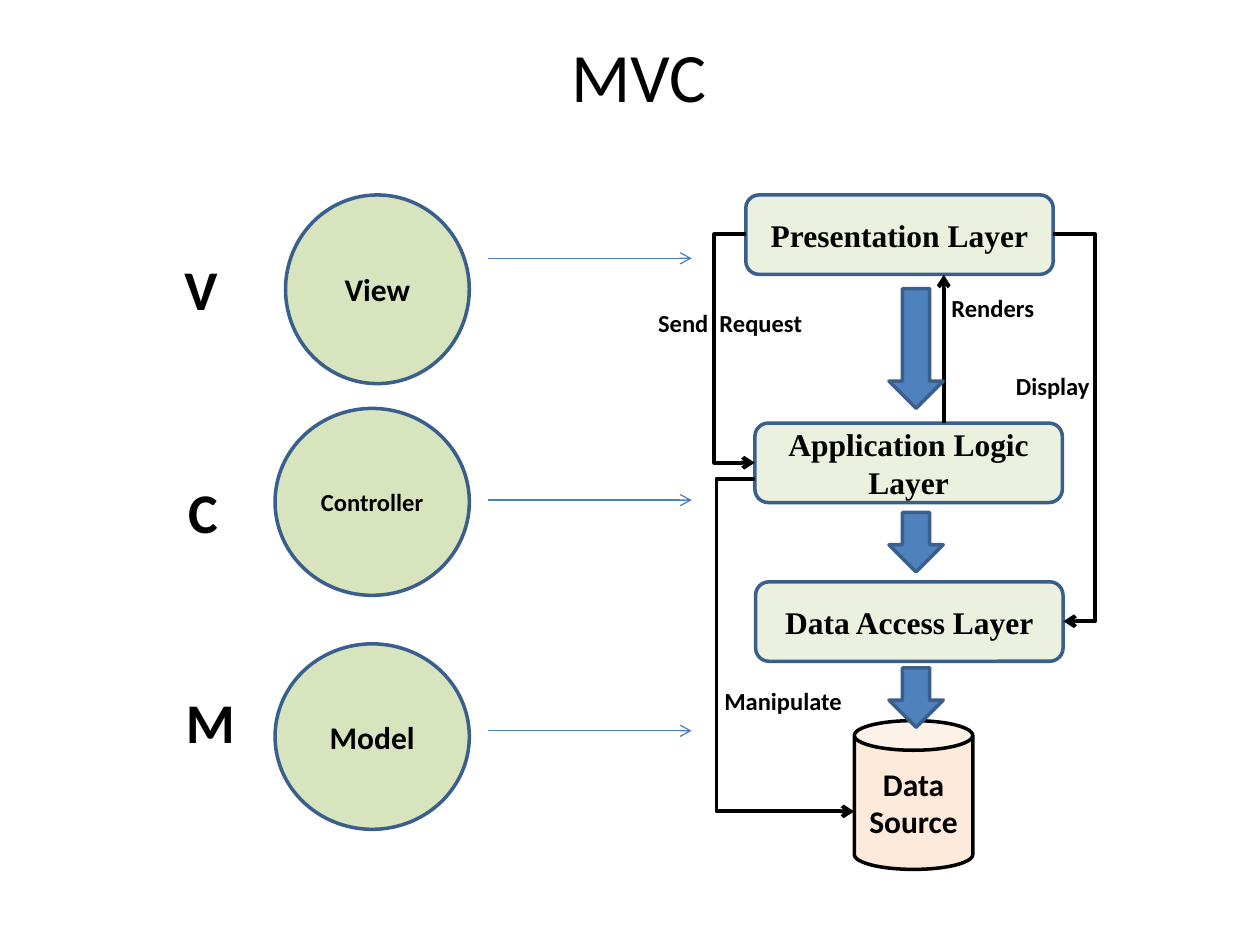
from dataclasses import dataclass
from typing import Optional

from lxml.etree import SubElement
from pptx import Presentation
from pptx.dml.color import RGBColor
from pptx.enum.shapes import MSO_CONNECTOR as Conn, MSO_SHAPE as Geo
from pptx.enum.text import MSO_ANCHOR as Anchor, PP_ALIGN as Align
from pptx.oxml.ns import qn
from pptx.util import Pt

COLORS = {
    "black": "000000",
    "white": "FFFFFF",
    "outline": "3A5F8C",
    "layer": "EBF1DE",
    "role": "D7E4BD",
    "source": "FDEADA",
    "arrow": "4F81BD",
    "link": "4B7EBC",
}


@dataclass
class Box:
    left: float
    top: float
    width: float
    height: float
    text: str = ""
    size: float = 18
    font: str = "Calibri"


@dataclass
class Link:
    x1: float
    y1: float
    x2: float
    y2: float
    color: str = "black"
    weight: float = 2.25
    via_x: Optional[float] = None  # x of the vertical run of an elbow


def rgb(name: str) -> RGBColor:
    return RGBColor.from_string(COLORS[name])


def write_text(sp, box: Box, bold: bool = True) -> None:
    tf = sp.text_frame
    tf.word_wrap = True
    tf.margin_left = tf.margin_right = 0
    tf.vertical_anchor = Anchor.MIDDLE
    tf.text = box.text
    for p in tf.paragraphs:
        p.alignment = Align.CENTER
        p.font.name = box.font
        p.font.size = Pt(box.size)
        p.font.bold = bold
        p.font.color.rgb = rgb("black")


def draw_box(s, box: Box, geo: Geo, fill: str, line: str) -> None:
    sp = s.shapes.add_shape(
        geo, Pt(box.left), Pt(box.top), Pt(box.width), Pt(box.height))
    sp.shadow.inherit = False
    sp.fill.solid()
    sp.fill.fore_color.rgb = rgb(fill)
    sp.line.color.rgb = rgb(line)
    sp.line.width = Pt(2)
    if box.text:
        write_text(sp, box)


def draw_link(s, link: Link) -> None:
    kind = Conn.STRAIGHT if link.via_x is None else Conn.ELBOW
    cx = s.shapes.add_connector(
        kind, Pt(link.x1), Pt(link.y1), Pt(link.x2), Pt(link.y2))
    cx.line.color.rgb = rgb(link.color)
    cx.line.width = Pt(link.weight)
    sp_pr = cx._element.spPr
    SubElement(sp_pr.find(qn("a:ln")), qn("a:tailEnd"), type="arrow")
    SubElement(sp_pr, qn("a:effectLst"))
    if link.via_x is not None:
        share = (link.via_x - link.x1) / (link.x2 - link.x1)
        guides = sp_pr.find(qn("a:prstGeom")).get_or_add_avLst()
        SubElement(guides, qn("a:gd"), name="adj1",
                   fmla=f"val {round(share * 100000)}")


LAYER_W, LAYER_H = 175.7, 45.4
LAYERS = [
    Box(left, top, LAYER_W, LAYER_H, text, font="Times New Roman")
    for left, top, text in (
        (426.2, 111.4, "Presentation Layer"),
        (431.4, 241.8, "Application Logic Layer"),
        (431.8, 332.5, "Data Access Layer"),
    )
]
DATA_SOURCE = Box(488.2, 411.8, 67.7, 85, "Data\nSource")
ROLES = [
    Box(163.2, 111.4, 105, 107.8, "View"),
    Box(157.2, 233.4, 111, 106.8, "Controller", 14),
    Box(157.2, 367.9, 111, 106, "Model"),
]
LABELS = [
    Box(359.3, 170.6, 115.9, 28, "Send  Request", 14),
    Box(406.8, 386.6, 81.4, 28, "Manipulate", 14),
    Box(536.4, 162, 61.9, 28, "Renders", 14),
    Box(565.2, 206.6, 72.7, 28, "Display", 14),
    Box(85, 146.2, 59.8, 37.4, "V", 32),
    Box(88.6, 273.6, 54.7, 37.4, "C", 32),
    Box(92.9, 393.1, 54.7, 37.4, "M", 32),
]
LINKS = [
    # Role to layer
    *(Link(278.6, y, 395.3, y, "link", 0.75) for y in (147.6, 285.8, 417.6)),
    # Display, send request, renders, manipulate
    Link(601.9, 133.9, 607.6, 355, via_x=625.7),
    Link(426.2, 133.9, 431.4, 264.4, via_x=408.2),
    Link(539.3, 241.8, 539.3, 157),
    Link(431.4, 273.6, 488.2, 463.7, via_x=409.4),
]
DOWN_ARROWS = [
    Box(508, top, 31, height)
    for top, height in ((164.9, 68.4), (292.8, 34), (381.6, 34))
]


def main() -> None:
    prs = Presentation()
    prs.slide_width, prs.slide_height = Pt(720), Pt(540)
    s = prs.slides.add_slide(prs.slide_layouts[6])

    # Title
    title = Box(41, 15.1, 648, 55.4, "MVC", 39.6)
    tb = s.shapes.add_textbox(
        Pt(title.left), Pt(title.top), Pt(title.width), Pt(title.height))
    write_text(tb, title, bold=False)

    # Layers, data source, MVC roles and labels
    for box in LAYERS:
        draw_box(s, box, Geo.ROUNDED_RECTANGLE, "layer", "outline")
    draw_box(s, DATA_SOURCE, Geo.CAN, "source", "black")
    for box in ROLES:
        draw_box(s, box, Geo.OVAL, "role", "outline")
    for box in LABELS:
        draw_box(s, box, Geo.RECTANGLE, "white", "white")

    # Connections, then the block arrows above them
    for link in LINKS:
        draw_link(s, link)
    for box in DOWN_ARROWS:
        draw_box(s, box, Geo.DOWN_ARROW, "arrow", "outline")

    prs.save("out.pptx")


if __name__ == "__main__":
    main()
